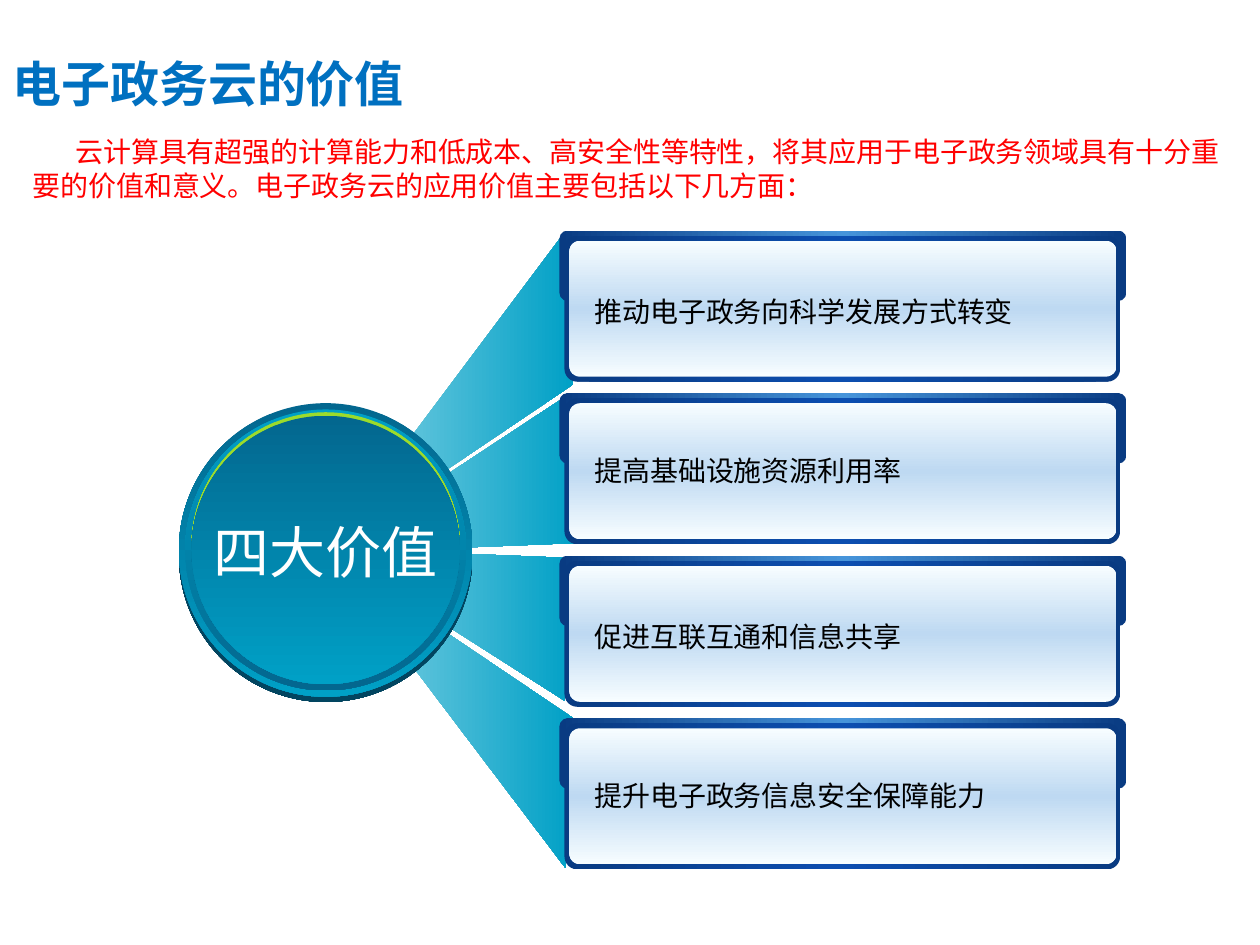
"""Build the slide on the four values of the e-government cloud."""
import copy

import pptx
import pptx.dml.color
import pptx.enum.shapes
import pptx.enum.text
import pptx.oxml
import pptx.oxml.ns
import pptx.util

Inches = pptx.util.Inches
Pt = pptx.util.Pt
RGB = pptx.dml.color.RGBColor.from_string
Kind = pptx.enum.shapes.MSO_SHAPE
Align = pptx.enum.text.PP_ALIGN
Anchor = pptx.enum.text.MSO_ANCHOR

NOTO = "Noto Sans CJK SC"
HUES = {
    "title": "0070C0", "lead": "FF0000", "ink": "000000", "white": "FFFFFF",
    "mist": "8ED5E6", "cyan": "00A0C6", "teal": "03678F",
    "shade": "024560", "lime": "9CDB2C",
    "navy": "093B82", "sky": "4694DA", "blue": "0C4EB0",
    "pale": "F7FDFF", "ice": "BED9F2",
}


def paint(shape, hues, angle, glow=None):
    shape.shadow.inherit = False
    shape.line.fill.background()
    shape.fill.gradient()
    shape.fill.gradient_angle = -angle % 360
    props = shape._element.spPr
    stops = props.find(".//" + pptx.oxml.ns.qn("a:gsLst"))
    for extra in hues[2:]:
        stops.append(copy.deepcopy(stops[0]))
    for i, stop in enumerate(shape.fill.gradient_stops):
        stop.color.rgb = RGB(HUES[hues[i]])
        stop.position = i / (len(hues) - 1)
    if glow:
        hue, dist, turn = glow
        props.find(pptx.oxml.ns.qn("a:effectLst")).append(pptx.oxml.parse_xml(
            f'<a:outerShdw {pptx.oxml.ns.nsdecls("a")} dist="{Pt(dist)}" '
            f'dir="{turn * 60000}" algn="ctr" rotWithShape="0">'
            f'<a:srgbClr val="{HUES[hue]}"/></a:outerShdw>'))


def write(box, words, size, hue, face=NOTO, anchor=Anchor.MIDDLE):
    frame = slide.shapes.add_textbox(*map(Inches, box)).text_frame
    frame.word_wrap = True
    frame.vertical_anchor = anchor
    para = frame.paragraphs[0]
    run = para.add_run()
    run.text = words
    run.font.size = Pt(size)
    run.font.name = face
    run.font.color.rgb = RGB(HUES[hue])
    run._r.get_or_add_rPr().append(pptx.oxml.parse_xml(
        f'<a:ea {pptx.oxml.ns.nsdecls("a")} typeface="{NOTO}"/>'))
    return para, run


deck = pptx.Presentation()
deck.slide_width = Inches(10)
deck.slide_height = Inches(7.5)
slide = deck.slides.add_slide(deck.slide_layouts[6])

para, run = write((0, 0.25, 5.32, 0.82), "电子政务云的价值", 28, "title", "Arial")
run.font.bold = True

para, run = write(
    (0.16, 1.02, 9.69, 0.64),
    "云计算具有超强的计算能力和低成本、高安全性等特性，将其应用于电子政务领域具有十分重要的价值和意义。"
    "电子政务云的应用价值主要包括以下几方面：",
    16, "lead", anchor=Anchor.TOP)
para._p.get_or_add_pPr().set("indent", str(Inches(0.34)))

beams = [
    [(4.47, 1.86), (2.58, 4.38), (4.55, 3.05)],
    [(4.47, 3.16), (2.6, 4.39), (4.59, 4.31)],
    [(4.49, 6.89), (2.58, 4.37), (4.55, 5.7)],
    [(4.48, 5.56), (2.58, 4.35), (4.56, 4.43)],
]
for beam in beams:
    spots = [(Inches(x), Inches(y)) for x, y in beam]
    pen = slide.shapes.build_freeform(*spots[0])
    pen.add_line_segments(spots[1:], close=True)
    paint(pen.convert_to_shape(), ["mist", "cyan"], 0)

discs = [
    (1.42, 3.2, 2.33, ["teal", "cyan"], ("shade", 3, 90)),
    (1.47, 3.25, 2.23, ["cyan", "teal"], None),
    (1.52, 3.3, 2.13, ["teal", "cyan"], ("lime", 2, 270)),
]
for x, y, size, hues, glow in discs:
    disc = slide.shapes.add_shape(Kind.OVAL, *map(Inches, (x, y, size, size)))
    paint(disc, hues, 90, glow)

para, run = write((1.42, 3.29, 2.33, 2.16), "四大价值", 32, "white")
para.alignment = Align.CENTER
run._r.rPr.find(pptx.oxml.ns.qn("a:solidFill")).addnext(pptx.oxml.parse_xml(
    f'<a:effectLst {pptx.oxml.ns.nsdecls("a")}>'
    f'<a:outerShdw dist="{Pt(2)}" dir="2700000" algn="tl">'
    f'<a:srgbClr val="{HUES["ink"]}"/></a:outerShdw></a:effectLst>'))

layers = [
    (4.44, 0, 4.5, 0.56, 0.117, ["navy", "sky", "navy"], 0),
    (4.48, 0.04, 4.41, 1.16, 0.087, ["navy", "blue", "navy"], 0),
    (4.52, 0.08, 4.34, 1.08, 0.077, ["pale", "ice", "pale"], 90),
]
values = [
    ("推动电子政务向科学发展方式转变", 1.2),
    ("提高基础设施资源利用率", 1.0),
    ("促进互联互通和信息共享", 1.2),
    ("提升电子政务信息安全保障能力", 1.0),
]
for row, (words, lead) in enumerate(values):
    top = 1.83 + 1.29 * row
    for x, drop, wide, high, bend, hues, angle in layers:
        card = slide.shapes.add_shape(
            Kind.ROUNDED_RECTANGLE, *map(Inches, (x, top + drop, wide, high)))
        card.adjustments[0] = bend
        paint(card, hues, angle)
    para, run = write((4.62, top + 0.18, 4.03, 0.87), words, 16, "ink")
    para.line_spacing = lead

deck.save("out.pptx")
